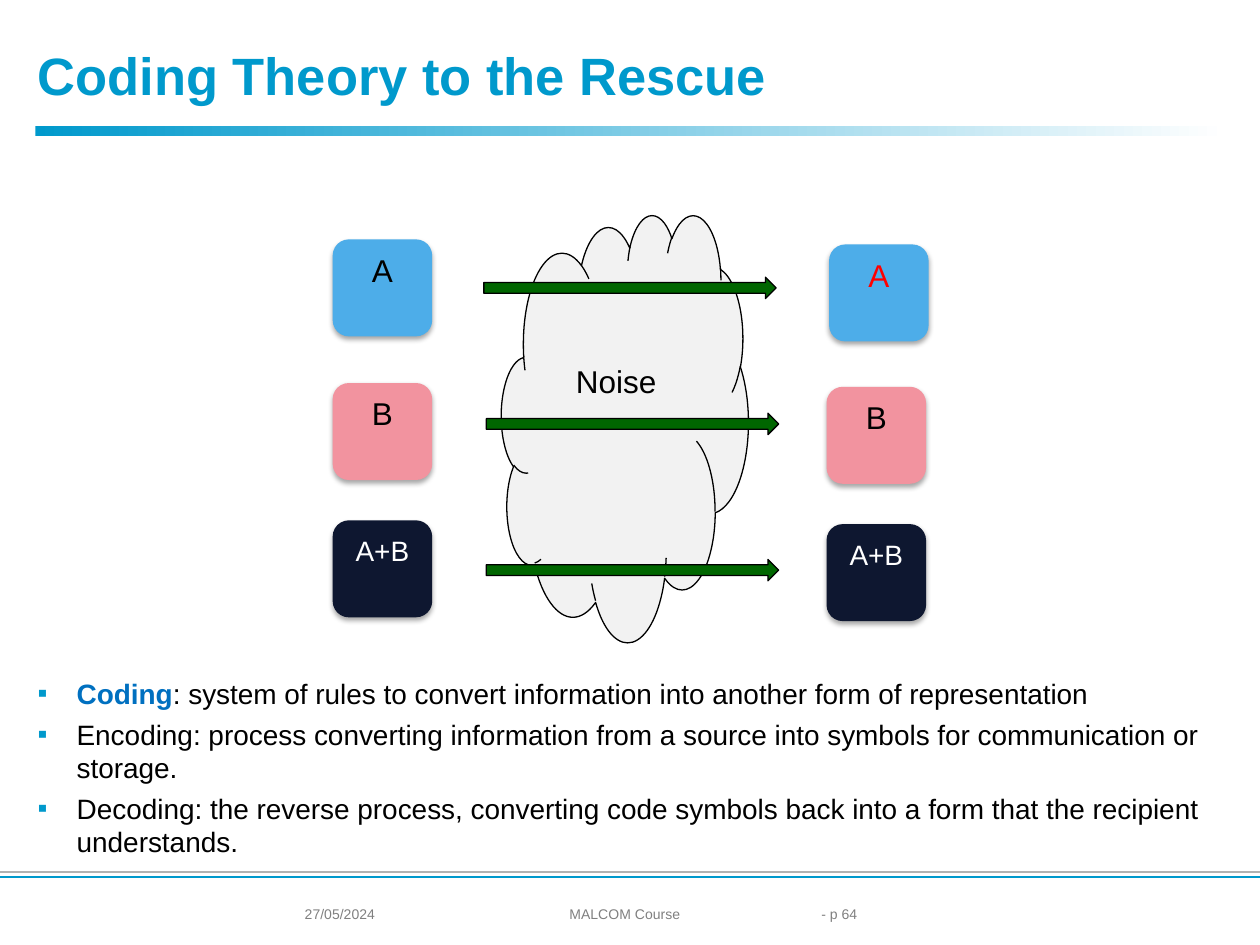
from dataclasses import dataclass

from lxml import etree
from pptx import Presentation
from pptx.dml.color import RGBColor
from pptx.enum.shapes import MSO_CONNECTOR, MSO_SHAPE
from pptx.enum.text import MSO_ANCHOR, PP_ALIGN
from pptx.oxml.ns import qn
from pptx.util import Inches, Pt

LEFT, CENTER = PP_ALIGN.LEFT, PP_ALIGN.CENTER
TOP, MIDDLE = MSO_ANCHOR.TOP, MSO_ANCHOR.MIDDLE
ROUNDED, CLOUD = MSO_SHAPE.ROUNDED_RECTANGLE, MSO_SHAPE.CLOUD
ARROW, BAR = MSO_SHAPE.RIGHT_ARROW, MSO_SHAPE.RECTANGLE
STRAIGHT = MSO_CONNECTOR.STRAIGHT


@dataclass(frozen=True)
class Theme:
    font: str = "Arial"
    accent: str = "0099CC"
    term: str = "0070C0"
    ink: str = "000000"
    paper: str = "FFFFFF"
    error: str = "FF0000"
    footer: str = "808080"
    rule: str = "B2B2B2"
    cloud: str = "F2F2F2"
    arrow: str = "006600"
    blue: str = "4DADE9"
    pink: str = "F2939F"
    navy: str = "0E1730"
    title_size: int = 30
    label_size: int = 18
    body_size: int = 16
    footer_size: int = 8


THEME = Theme()

TITLE = "Coding Theory to the Rescue"
MESSAGES = [
    ("A", THEME.blue, THEME.ink, THEME.label_size),
    ("B", THEME.pink, THEME.ink, THEME.label_size),
    ("A+B", THEME.navy, THEME.paper, THEME.body_size),
]
DEFINITIONS = [
    [("Coding", True),
     (": system of rules to convert information into another form of representation", False)],
    [("Encoding: process converting information from a source into symbols "
      "for communication or storage.", False)],
    [("Decoding: the reverse process, converting code symbols back into a form "
      "that the recipient understands.", False)],
]
FOOTERS = [
    ("27/05/2024", 2.32, 1.18, LEFT),
    ("MALCOM Course", 3.58, 2.76, CENTER),
    ("- p 64", 6.42, 0.79, LEFT),
]
FOOTER_RULES = [(6.92, THEME.rule), (6.96, THEME.accent)]

TILE = (0.79, 0.77)
TILE_TOPS = [1.9, 3.04, 4.13]
SENT_LEFT, RECEIVED_LEFT, RECEIVED_DROP = 2.64, 6.56, 0.03
ALTERED_SHIFT = (0.02, 0.01)
ARROWS = [(3.84, 2.2), (3.86, 3.28), (3.86, 4.44)]


def color(value):
    return RGBColor.from_string(value)


def add_span(para, text, size, ink, bold=False):
    span = para.add_run()
    span.text = text
    font = span.font
    font.name, font.size, font.bold = THEME.font, Pt(size), bold
    font.color.rgb = color(ink)


def add_box(page, left, top, width, height, anchor):
    box = page.shapes.add_textbox(*map(Inches, (left, top, width, height)))
    box.text_frame.word_wrap = True
    box.text_frame.vertical_anchor = anchor
    return box.text_frame


def add_figure(page, kind, left, top, width, height, fill, line=None):
    figure = page.shapes.add_shape(kind, *map(Inches, (left, top, width, height)))
    figure.shadow.inherit = False
    figure.fill.solid()
    figure.fill.fore_color.rgb = color(fill)
    if line:
        figure.line.color.rgb = color(line)
        figure.line.width = Pt(0.75)
    else:
        figure.line.fill.background()
    return figure


def add_label(figure, text, size, ink, anchor, inset_top=0, inset_bottom=0):
    frame = figure.text_frame
    frame.vertical_anchor = anchor
    frame.margin_top, frame.margin_bottom = Inches(inset_top), Inches(inset_bottom)
    para = frame.paragraphs[0]
    para.alignment = CENTER
    add_span(para, text, size, ink)


def add_soft_shadow(figure):
    effects = figure.element.spPr.find(qn("a:effectLst"))
    shadow = etree.SubElement(effects, qn("a:outerShdw"), blurRad=str(Pt(3.1)),
                              dist=str(Pt(1.8)), dir="5400000", rotWithShape="0")
    tint = etree.SubElement(shadow, qn("a:srgbClr"), val=THEME.ink)
    etree.SubElement(tint, qn("a:alpha"), val="35000")


def add_tile(page, left, top, text, fill, ink, size):
    tile = add_figure(page, ROUNDED, left, top, *TILE, fill)
    add_soft_shadow(tile)
    add_label(tile, text, size, ink, MIDDLE, inset_bottom=0.29)


def add_bullet(para):
    properties = para._p.get_or_add_pPr()
    properties.set("marL", str(Inches(0.31)))
    properties.set("indent", str(Inches(-0.31)))
    tint = etree.SubElement(properties, qn("a:buClr"))
    etree.SubElement(tint, qn("a:srgbClr"), val=THEME.accent)
    etree.SubElement(properties, qn("a:buFont"), typeface=THEME.font)
    etree.SubElement(properties, qn("a:buChar"), char="▪")


def add_title(page):
    title = page.shapes.title
    title.left, title.top, title.width, title.height = map(Inches, (0.2, 0.24, 9.37, 0.71))
    title.text_frame.vertical_anchor = MIDDLE
    para = title.text_frame.paragraphs[0]
    para.alignment = LEFT
    add_span(para, TITLE, THEME.title_size, THEME.accent, True)

    bar = add_figure(page, BAR, 0.28, 1, 9.45, 0.08, THEME.accent)
    bar.fill.gradient()
    bar.fill.gradient_angle = 0
    for stop, tint in zip(bar.fill.gradient_stops, (THEME.accent, THEME.paper)):
        stop.color.rgb = color(tint)


def add_footer(page):
    for top, tint in FOOTER_RULES:
        rule = page.shapes.add_connector(STRAIGHT, 0, Inches(top), Inches(10), Inches(top))
        rule.line.color.rgb = color(tint)
        rule.line.width = Pt(1.5)
        etree.SubElement(rule.element.spPr, qn("a:effectLst"))
    for text, left, width, alignment in FOOTERS:
        para = add_box(page, left, 7.14, width, 0.22, MIDDLE).paragraphs[0]
        para.alignment = alignment
        add_span(para, text, THEME.footer_size, THEME.footer)


def add_channel(page):
    cloud = add_figure(page, CLOUD, 3.98, 1.7, 1.96, 3.39, THEME.cloud, THEME.ink)
    add_label(cloud, "Noise", THEME.label_size, THEME.ink, TOP, inset_top=0.66)
    for row, (top, message) in enumerate(zip(TILE_TOPS, MESSAGES)):
        text, fill, ink, size = message
        add_tile(page, SENT_LEFT, top, text, fill, ink, size)
        altered = row == 0
        shift_x, shift_y = ALTERED_SHIFT if altered else (0, 0)
        add_tile(page, RECEIVED_LEFT + shift_x, top + RECEIVED_DROP + shift_y,
                 text, fill, THEME.error if altered else ink, size)
    for left, top in ARROWS:
        add_figure(page, ARROW, left, top, 2.32, 0.17, THEME.arrow, THEME.ink)


def add_definitions(page):
    frame = add_box(page, 0.2, 5.32, 9.61, 1.5, TOP)
    for number, spans in enumerate(DEFINITIONS):
        para = frame.add_paragraph() if number else frame.paragraphs[0]
        add_bullet(para)
        if number:
            para.space_before = Pt(4)
        for text, is_term in spans:
            add_span(para, text, THEME.body_size, THEME.term if is_term else THEME.ink, is_term)


def main():
    deck = Presentation()
    deck.slide_width, deck.slide_height = Inches(10), Inches(7.5)
    page = deck.slides.add_slide(deck.slide_layouts[5])
    add_title(page)
    add_footer(page)
    add_channel(page)
    add_definitions(page)
    deck.save("out.pptx")


if __name__ == "__main__":
    main()
